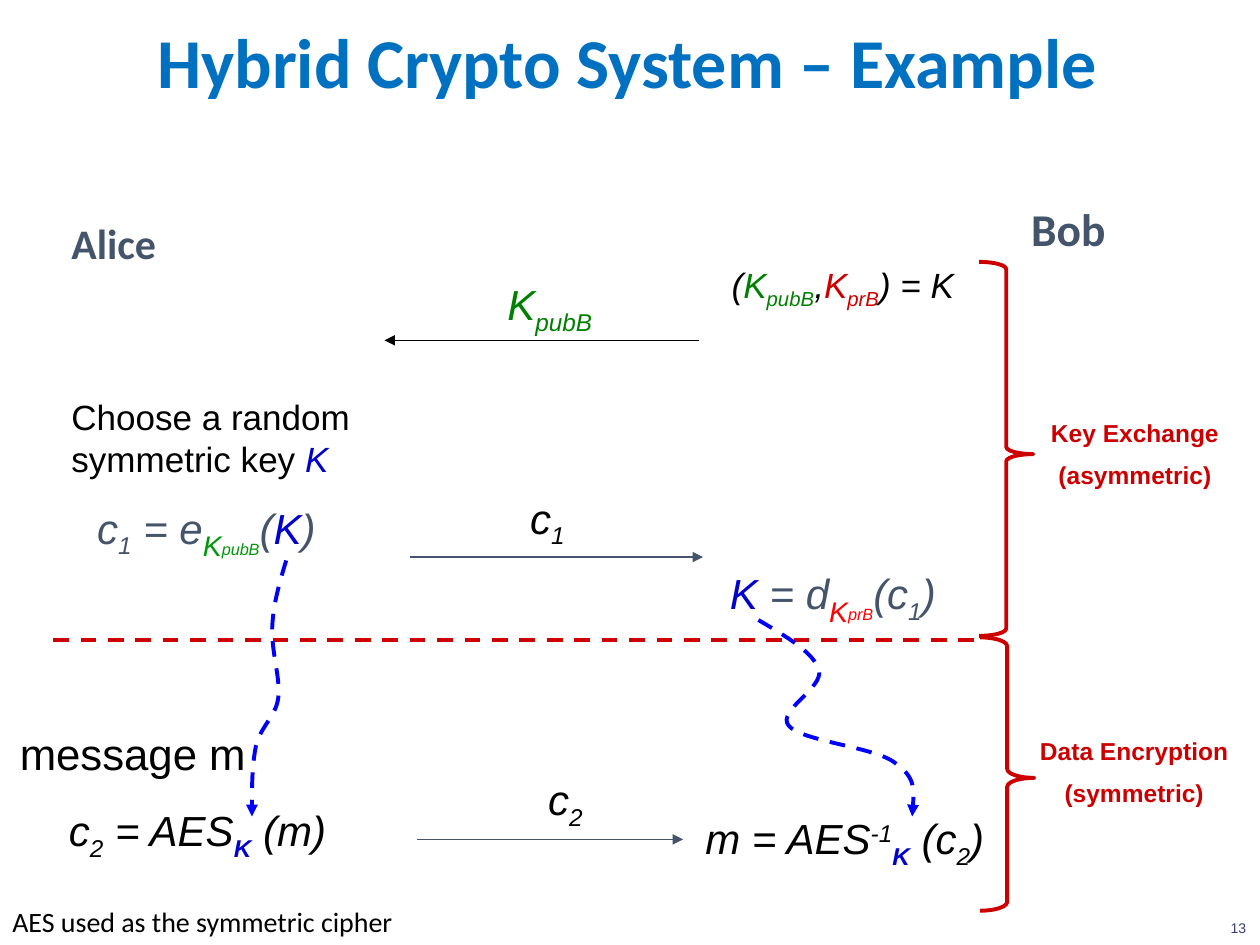
from pptx import Presentation
from pptx.dml.color import RGBColor
from pptx.enum.dml import MSO_LINE
from pptx.enum.shapes import MSO_CONNECTOR, MSO_SHAPE
from pptx.enum.text import MSO_ANCHOR, PP_ALIGN
from pptx.oxml.ns import qn
from pptx.util import Cm, Pt

LEFT, CENTER = PP_ALIGN.LEFT, PP_ALIGN.CENTER
TOP, MIDDLE = MSO_ANCHOR.TOP, MSO_ANCHOR.MIDDLE
DASH = MSO_LINE.DASH
STRAIGHT = MSO_CONNECTOR.STRAIGHT
BRACE = MSO_SHAPE.RIGHT_BRACE

THEME = {
    "colors": {
        "title": "0070C0", "number": "394073", "slate": "44546A", "black": "000000",
        "phase": "CC0000", "key": "0000CC", "public": "008000", "public_sub": "00980B",
        "private_sub": "FF0000", "flow": "0000FF",
    },
    "styles": {
        "title": dict(name="Calibri", size=40, bold=True, color="title"),
        "number": dict(name="Arial", size=8, color="number"),
        "bob": dict(name="Calibri", size=26, bold=True, color="slate"),
        "alice": dict(name="Calibri", size=24, bold=True, color="slate"),
        "formula": dict(name="Arial", size=24, italic=True, color="black"),
        "pair": dict(name="Arial", size=20, italic=True, color="black"),
        "step": dict(name="Arial", size=20, color="black"),
        "message": dict(name="Arial", size=25, color="black"),
        "phase": dict(name="Arial", size=14, bold=True, color="phase"),
        "note": dict(name="Calibri", size=16, color="black"),
    },
    "thin": 0.75, "thick": 2.25, "phase_gap": 7,
}

SUB = dict(base=-25)
SLATE = dict(color="slate")
SLATE_SUB = SLATE | SUB
KEY = dict(color="key")
KEY_SUB = KEY | SUB | dict(bold=True)
PUBLIC = dict(color="public")
PRIVATE = dict(color="phase")


def key_subscript(owner, color):
    return [("K", dict(color=color, size=28, base=-25)),
            (owner, dict(color=color, size=16, base=-40))]


# style, (left, top, width, height) in cm, paragraphs of (text, format) spans, layout
TEXTS = [
    ("title", (0.64, 0.3, 24.33, 1.85), [[("Hybrid Crypto System – Example ", {})]],
     dict(align=CENTER, anchor=MIDDLE)),
    ("number", (24.56, 18.42, 0.84, 0.63), [[("13", {})]], dict(wrap=False)),
    ("bob", (17.73, 4.06, 7.62, 0.99), [[("Bob", {})]], dict(align=CENTER, spacing=0.9)),
    ("alice", (1.19, 4.37, 2.31, 1.17), [[("Alice", {})]], dict(wrap=False, spacing=0.9)),
    ("pair", (14.5, 5.18, 6.15, 1.09),
     [[("(", {}), ("K", PUBLIC), ("pubB", PUBLIC | SUB), (",", {}),
       ("K", PRIVATE), ("prB", PRIVATE | SUB), (") = K", {})]], {}),
    ("formula", (9.98, 5.49, 2.54, 1.27), [[("K", PUBLIC), ("pubB", PUBLIC | SUB)]], {}),
    ("step", (1.19, 7.85, 6.2, 1.96),
     [[("Choose a random symmetric key ", {}), ("K", KEY | dict(italic=True))]], {}),
    ("formula", (1.57, 10.01, 5.18, 1.3),
     [[("c", SLATE), ("1", SLATE_SUB), (" = e", SLATE), *key_subscript("pubB", "public_sub"),
       ("(", SLATE), ("K", KEY), (")", SLATE)]],
     dict(align=CENTER, anchor=MIDDLE, wrap=False)),
    ("formula", (10.44, 9.8, 2.29, 1.3), [[("c", {}), ("1", SUB)]], {}),
    ("formula", (14.35, 11.33, 4.88, 1.3),
     [[("K", KEY), (" = d", SLATE), *key_subscript("prB", "private_sub"),
       ("(c", SLATE), ("1", SLATE_SUB), (")", SLATE)]],
     dict(align=CENTER, anchor=MIDDLE, wrap=False)),
    ("phase", (20.62, 8.31, 4.52, 1.75), [[("Key Exchange", {})], [("(asymmetric)", {})]],
     dict(align=CENTER)),
    ("phase", (20.4, 14.71, 4.93, 1.75), [[("Data Encryption", {})], [("(symmetric)", {})]],
     dict(align=CENTER)),
    ("message", (0.15, 14.53, 5.59, 1.32), [[("message m", {})]], {}),
    ("formula", (1.14, 16.1, 5.97, 1.3),
     [[("c", {}), ("2", SUB), (" = AES", {}), ("K", KEY_SUB), (" (m)", {})]], {}),
    ("formula", (10.8, 15.47, 2.82, 1.3), [[("c", {}), ("2", SUB)]], {}),
    ("formula", (13.97, 16.26, 7.62, 1.3),
     [[("m = AES", {}), ("-1", dict(base=30)), ("K", KEY_SUB), (" (c", {}),
       ("2", SUB), (")", {})]], {}),
    ("note", (0, 18.11, 8.28, 0.94), [[("AES used as the symmetric cipher", {})]],
     dict(wrap=False)),
]

# start x, end x, y in cm, colour
MESSAGES = [(14.1, 7.75, 6.86, "black"), (8.26, 14.17, 11.23, "slate"),
            (8.41, 13.77, 16.92, "slate")]
PHASE_DIVIDER = (1.07, 19.71, 12.9, "phase")
BRACES = [((19.74, 5.28, 1.09, 7.54), (0.134, 0.514)),
          ((19.76, 12.85, 1.09, 5.51), (0.162, 0.514))]
# start point, then three Bézier points for each segment
KEY_FLOWS = [
    [(5.77, 11.3),
     (5.64, 11.73), (5.51, 12.17), (5.49, 12.62), (5.46, 13.11), (5.66, 13.67), (5.61, 14.07),
     (5.56, 14.45), (5.26, 14.63), (5.16, 15.04), (5.08, 15.44), (5.08, 15.95), (5.08, 16.46)],
    [(15.29, 12.5),
     (15.85, 12.83), (16.41, 13.16), (16.51, 13.51), (16.61, 13.87), (15.65, 14.33), (15.9, 14.63),
     (16.15, 14.94), (17.63, 15.06), (18.03, 15.37), (18.47, 15.67), (18.42, 16.08), (18.39, 16.46)],
]


def rgb(name):
    return RGBColor.from_string(THEME["colors"][name])


def add_span(para, text, values):
    span = para.add_run()
    span.text = text
    for key, value in values.items():
        if key == "color":
            span.font.color.rgb = rgb(value)
        elif key == "base":
            span._r.get_or_add_rPr().set("baseline", str(value * 1000))
        else:
            setattr(span.font, key, Pt(value) if key == "size" else value)


def add_text(page, style, place, paragraphs, layout):
    frame = page.shapes.add_textbox(*map(Cm, place)).text_frame
    frame.word_wrap = layout.get("wrap", True)
    frame.vertical_anchor = layout.get("anchor", TOP)
    for index, spans in enumerate(paragraphs):
        para = frame.add_paragraph() if index else frame.paragraphs[0]
        para.alignment = layout.get("align", LEFT)
        para.line_spacing = layout.get("spacing", 1.0)
        if index:
            para.space_before = Pt(THEME["phase_gap"])
        for text, changes in spans:
            add_span(para, text, THEME["styles"][style] | changes)


def style_line(shape, color, width, dash=None, arrow=False):
    shape.line.color.rgb = rgb(color)
    shape.line.width = Pt(THEME[width])
    if dash:
        shape.line.dash_style = dash
    if arrow:
        outline = shape.line._get_or_add_ln()
        outline.append(outline.makeelement(qn("a:tailEnd"), {"type": "triangle"}))


def add_line(page, start, end, y, color, **line):
    connector = page.shapes.add_connector(STRAIGHT, Cm(start), Cm(y), Cm(end), Cm(y))
    style_line(connector, color, **line)
    properties = connector._element.spPr
    properties.append(properties.makeelement(qn("a:effectLst"), {}))


def add_brace(page, place, adjustments):
    brace = page.shapes.add_shape(BRACE, *map(Cm, place))
    brace.shadow.inherit = False
    brace.fill.background()
    for index, value in enumerate(adjustments):
        brace.adjustments[index] = value
    style_line(brace, "phase", "thick")


def add_key_flow(page, points):
    """Draw a dashed arrow, turning each three straight segments into one Bézier."""
    start, *controls = [(Cm(x), Cm(y)) for x, y in points]
    builder = page.shapes.build_freeform(*start)
    builder.add_line_segments(controls, close=False)
    flow = builder.convert_to_shape()
    segments = list(flow._element.iter(qn("a:lnTo")))
    for first in range(0, len(segments), 3):
        group = segments[first:first + 3]
        curve = group[0].makeelement(qn("a:cubicBezTo"), {})
        group[0].addprevious(curve)
        for segment in group:
            curve.append(segment[0])
            segment.getparent().remove(segment)
    flow.shadow.inherit = False
    flow.fill.background()
    style_line(flow, "flow", "thick", DASH, arrow=True)


def main():
    deck = Presentation()
    deck.slide_width, deck.slide_height = Cm(25.4), Cm(19.05)
    page = deck.slides.add_slide(deck.slide_layouts[6])
    add_line(page, *PHASE_DIVIDER, width="thick", dash=DASH)
    for message in MESSAGES:
        add_line(page, *message, width="thin", arrow=True)
    for place, adjustments in BRACES:
        add_brace(page, place, adjustments)
    for text in TEXTS:
        add_text(page, *text)
    for points in KEY_FLOWS:
        add_key_flow(page, points)
    deck.save("out.pptx")


if __name__ == "__main__":
    main()
